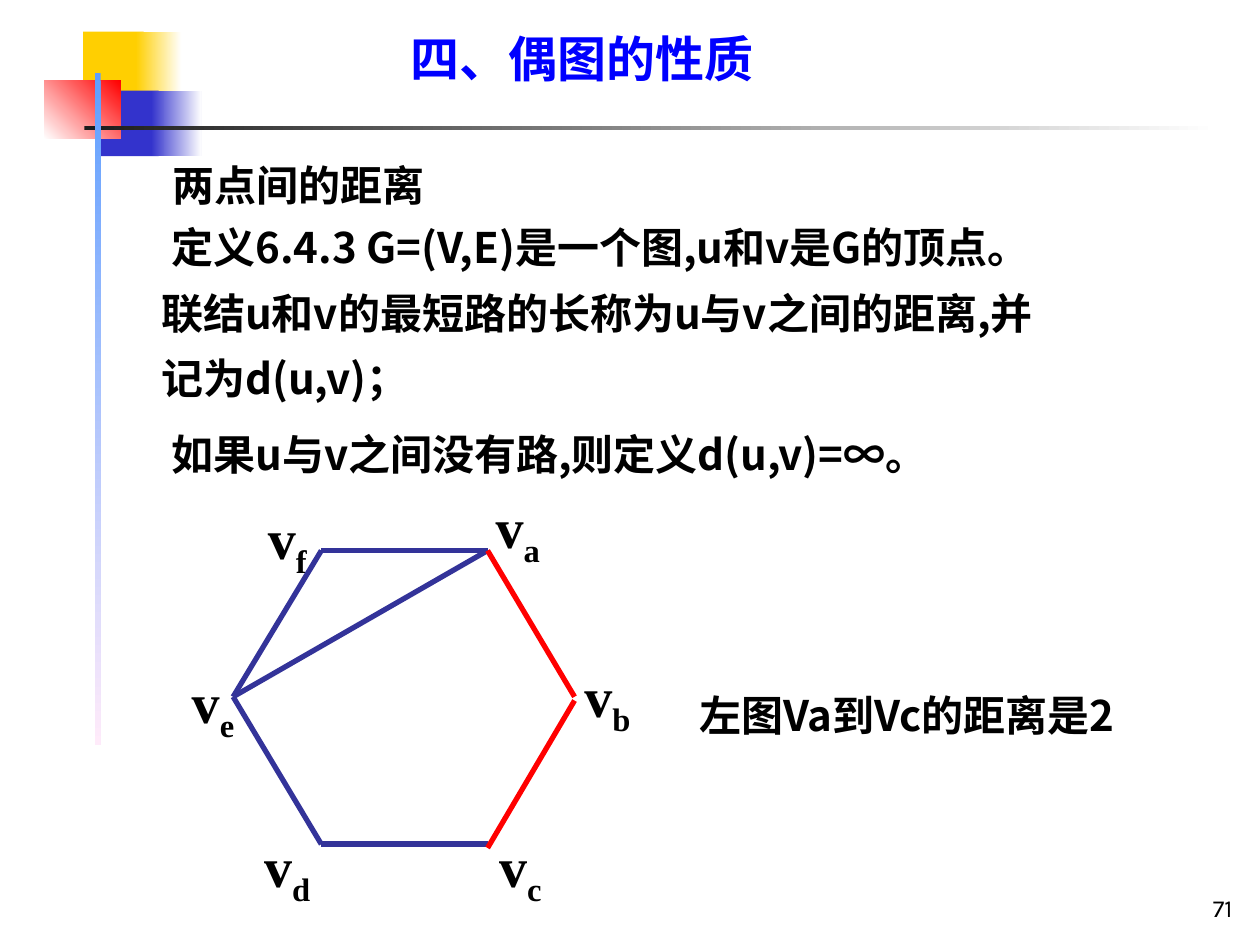
import pptx
import pptx.util
import pptx.dml.color
import pptx.enum.shapes
import pptx.enum.text
import pptx.oxml
import pptx.oxml.ns

Inches = pptx.util.Inches
Pt = pptx.util.Pt
ALIGN = pptx.enum.text.PP_ALIGN
ANCHOR = pptx.enum.text.MSO_ANCHOR
SANS = "Noto Sans CJK SC"
SERIF = "Times New Roman"
LABEL_WIDTH, LABEL_HEIGHT = 0.4, 0.32

COLORS = {
    "yellow": "FFCF01", "blue": "3333CC", "red": "FF0000", "white": "FFFFFF",
    "ink": "1C1C1C", "sky": "5E9EFF", "pink": "FFEBFA",
    "title": "0000FF", "text": "000000", "edge": "333399",
}


def color(name):
    return pptx.dml.color.RGBColor.from_string(COLORS[name])


def set_all(target, values):
    for name, value in values.items():
        setattr(target, name, value)


def add_block(page, place, names, angle=0):
    block = page.shapes.add_shape(
        pptx.enum.shapes.MSO_SHAPE.RECTANGLE, *map(Inches, place))
    block.shadow.inherit = False
    block.line.fill.background()
    if len(names) == 1:
        block.fill.solid()
        block.fill.fore_color.rgb = color(names[0])
        return
    block.fill.gradient()
    block.fill.gradient_angle = angle
    for stop, name, position in zip(block.fill.gradient_stops, names, (0, 1)):
        stop.color.rgb = color(name)
        stop.position = position


def add_box(page, place, margins=(0, 0), **frame_format):
    box = page.shapes.add_textbox(*map(Inches, place))
    across, down = map(Inches, margins)
    set_all(box.text_frame, {
        "word_wrap": True, "margin_left": across, "margin_right": across,
        "margin_top": down, "margin_bottom": down, **frame_format})
    return box.text_frame


def add_span(para, text, size, font, name="text", bold=True, baseline=None):
    span = para.add_run()
    span.text = text
    set_all(span.font, {"size": Pt(size), "bold": bold, "name": font})
    span.font.color.rgb = color(name)
    properties = span._r.get_or_add_rPr()
    east_asian = pptx.oxml.parse_xml(
        f'<a:ea {pptx.oxml.ns.nsdecls("a")} typeface="{SANS}"/>')
    properties.find(pptx.oxml.ns.qn("a:latin")).addnext(east_asian)
    if baseline:
        properties.set("baseline", str(baseline * 1000))


def add_statement(page, place, texts, first_indent=0.08, size=24, font=SANS,
                  name="text", spacing=1.3):
    frame = add_box(page, place,
                    auto_size=pptx.enum.text.MSO_AUTO_SIZE.SHAPE_TO_FIT_TEXT)
    for index, text in enumerate(texts):
        para = frame.add_paragraph() if index else frame.paragraphs[0]
        set_all(para, {"line_spacing": spacing,
                       "space_before": Pt(6 if index else 0)})
        indents = para._p.get_or_add_pPr()
        indents.set("marL", str(Inches(0.38)))
        indents.set("indent", str(Inches(first_indent)))
        add_span(para, text, size, font, name)


def add_vertex_label(page, center, letter):
    x, y = center
    place = (x - LABEL_WIDTH / 2, y - LABEL_HEIGHT / 2,
             LABEL_WIDTH, LABEL_HEIGHT)
    frame = add_box(page, place, word_wrap=False,
                    vertical_anchor=ANCHOR.MIDDLE)
    para = frame.paragraphs[0]
    para.alignment = ALIGN.CENTER
    add_span(para, "v", 32, SERIF)
    add_span(para, letter, 32, SERIF, baseline=-25)


def add_edge(page, start, end, name="edge", width=3):
    edge = page.shapes.add_connector(
        pptx.enum.shapes.MSO_CONNECTOR.STRAIGHT, *map(Inches, start + end))
    edge.line.color.rgb = color(name)
    edge.line.width = Pt(width)
    edge._element.spPr.append(pptx.oxml.parse_xml(
        f'<a:effectLst {pptx.oxml.ns.nsdecls("a")}/>'))


def add_decoration(page):
    add_block(page, (0.66, 0.25, 0.48, 0.52), ["yellow"])
    add_block(page, (1.08, 0.25, 0.36, 0.52), ["yellow", "white"])
    add_block(page, (0.8, 0.72, 0.46, 0.52), ["blue"])
    add_block(page, (1.2, 0.72, 0.4, 0.52), ["blue", "white"])
    add_block(page, (0.35, 0.64, 0.61, 0.46), ["white", "red"], 45)
    add_block(page, (0.67, 1, 9, 0.03), ["ink", "white"])
    add_block(page, (0.75, 0.58, 0.05, 5.33), ["sky", "pink"], 270)


def add_graph(page):
    label_centers = {"a": (4.11, 4.21), "b": (4.82, 5.55), "c": (4.13, 6.9),
                     "d": (2.28, 6.9), "e": (1.69, 5.6), "f": (2.28, 4.3)}
    for letter, center in label_centers.items():
        add_vertex_label(page, center, letter)
    vertices = {"a": (3.87, 4.37), "b": (4.56, 5.53), "c": (3.87, 6.7),
                "d": (2.55, 6.7), "e": (1.85, 5.53), "f": (2.55, 4.37)}
    for start, end in ("fa", "fe", "ed", "ae"):
        add_edge(page, vertices[start], vertices[end])
    add_edge(page, vertices["d"], vertices["c"], width=3.25)
    add_edge(page, vertices["a"], vertices["b"], "red")
    add_edge(page, (4.56, 5.56), (3.87, 6.73), "red")


def add_page_number(page):
    frame = add_box(page, (7.8, 6.87, 2.08, 0.5), (0.1, 0.05),
                    vertical_anchor=ANCHOR.BOTTOM)
    para = frame.paragraphs[0]
    para.alignment = ALIGN.RIGHT
    add_span(para, "71", 14, "Karla", bold=False)


def main():
    deck = pptx.Presentation()
    set_all(deck, {"slide_width": Inches(10), "slide_height": Inches(7.5)})
    page = deck.slides.add_slide(deck.slide_layouts[6])
    add_decoration(page)
    add_page_number(page)
    add_statement(page, (0.9, 1.64, 7.56, 2.16), [
        "定义6.4.3 G=(V,E)是一个图,u和v是G的顶点。"
        "联结u和v的最短路的长称为u与v之间的距离,并记为d(u,v)；",
        "如果u与v之间没有路,则定义d(u,v)=∞。"])
    add_statement(page, (3.26, 0.28, 3.31, 0.42), ["四、偶图的性质"],
                  -0.38, 28, SERIF, "title", 0.9)
    add_statement(page, (0.91, 1.15, 3.78, 0.52), ["两点间的距离"])
    add_graph(page)
    add_statement(page, (5.55, 5.35, 3.46, 1.04), ["左图Va到Vc的距离是2"], -0.38)
    deck.save("out.pptx")


if __name__ == "__main__":
    main()
